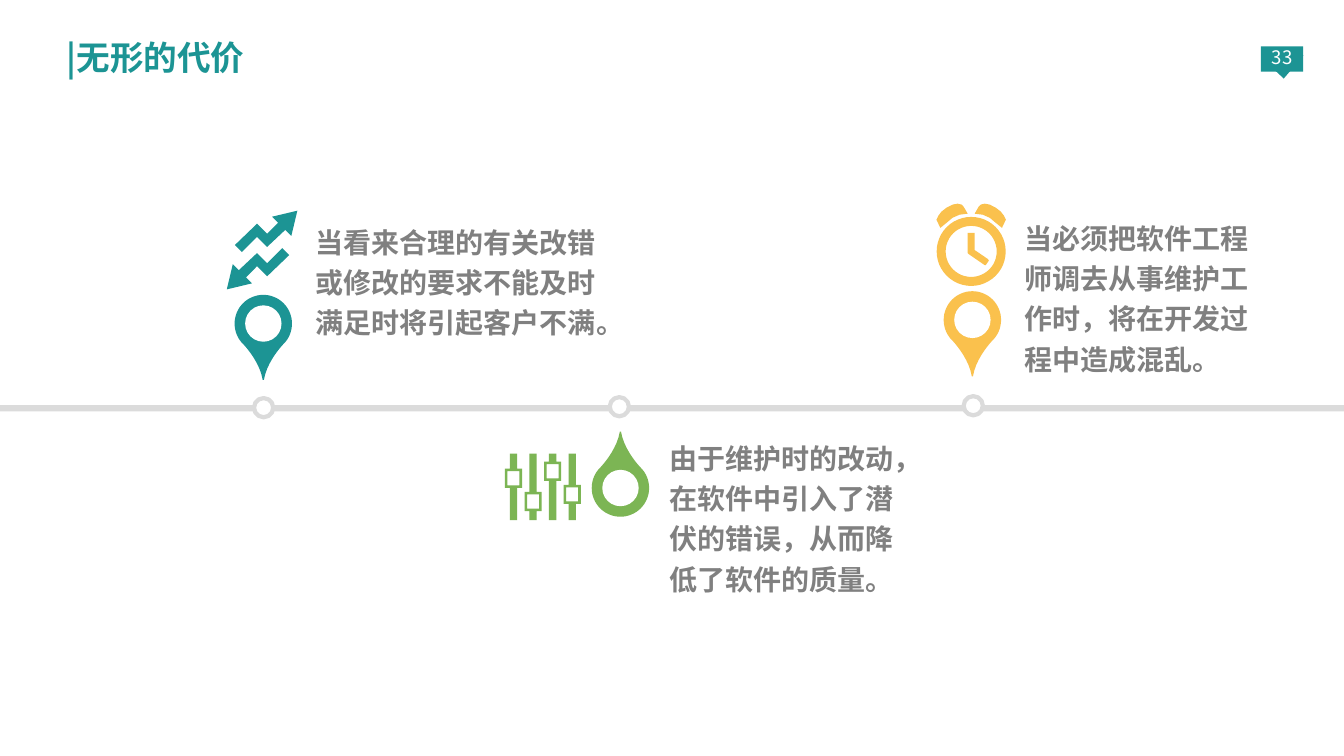
"""Builds a timeline slide on the hidden costs of software maintenance."""
from collections.abc import Callable
from dataclasses import dataclass
from math import cos, pi, sin

from pptx import Presentation
from pptx.dml.color import RGBColor
from pptx.enum.shapes import MSO_SHAPE
from pptx.enum.text import MSO_ANCHOR, MSO_AUTO_SIZE, PP_ALIGN
from pptx.oxml.ns import qn
from pptx.util import Pt

Point = tuple[float, float]
FONT = "Noto Sans CJK SC"
TEAL, GREEN, AMBER = "1C9494", "7CB554", "FAC14D"
WHITE, RAIL, GREY = "FFFFFF", "DBDBDB", "808080"

ARROW = [(7.2, -23.8), (11.5, -19.5), (3.6, -11.6), (-3.6, -18.8), (-19.4, -3.6), (-14.4, 1.4),
         (-3.6, -9.4), (3.6, -2.2), (16.6, -14.4), (20.9, -10.1), (25.2, -28.1)]
BELL = [(-2.5, -26.9), (-5.4, -32), (-6.8, -33.4), (-9.7, -34.1), (-13.3, -33.4), (-17.6, -31.2),
        (-21.2, -28.4), (-23.4, -25.5), (-24.8, -22.6), (-24.1, -21.2), (-22, -16.8),
        (-17.6, -20.4), (-13.3, -24), (-8.3, -26.2)]
HANDS = [(-2.5, -13.2), (2.5, -13.2), (2.5, -1), (12, 5.5), (12.6, 6.6), (10.4, 9.8),
         (9.7, 9.8), (-1.8, 1.9), (-2.5, 1.2)]


@dataclass
class Box:
    left: float
    top: float
    width: float
    height: float

    def lengths(self) -> list[int]:
        return [Pt(value) for value in (self.left, self.top, self.width, self.height)]


@dataclass
class Milestone:
    colour: str
    marker: Point
    pin: Point
    direction: int
    draw_icon: Callable
    icon_at: Point
    text: str
    text_box: Box


def apply(target, formats: dict) -> None:
    for name, value in formats.items():
        setattr(target, name, value)


def colour_of(code: str) -> RGBColor:
    return RGBColor.from_string(code)


def paint(shape, fill: str, line: str | None = None) -> None:
    shape.shadow.inherit = False
    shape.fill.solid()
    shape.fill.fore_color.rgb = colour_of(fill)
    if line:
        shape.line.color.rgb = colour_of(line)
        shape.line.width = Pt(3)
    else:
        shape.line.fill.background()


def add_preset(shapes, kind, box: Box, fill: str, line: str | None = None):
    shape = shapes.add_shape(kind, *box.lengths())
    paint(shape, fill, line)
    return shape


def around(centre: Point, diameter: float) -> Box:
    return Box(centre[0] - diameter / 2, centre[1] - diameter / 2, diameter, diameter)


def add_outline(shapes, contours: list[list[Point]], fill: str, centre: Point = (0, 0),
                flip: Point = (1, 1)) -> None:
    placed = [[(Pt(centre[0] + flip[0] * x), Pt(centre[1] + flip[1] * y)) for x, y in contour]
              for contour in contours]
    builder = shapes.build_freeform(*placed[0][0], scale=1.0)
    builder.add_line_segments(placed[0][1:], close=True)
    for contour in placed[1:]:
        builder.move_to(*contour[0])
        builder.add_line_segments(contour[1:], close=True)
    paint(builder.convert_to_shape(), fill)


def rectangle(left: float, top: float, right: float, bottom: float) -> list[Point]:
    return [(left, top), (right, top), (right, bottom), (left, bottom)]


def curve(start: Point, first: Point, second: Point, end: Point, steps: int = 10) -> list[Point]:
    points = []
    for step in range(1, steps + 1):
        t = step / steps
        weights = ((1 - t) ** 3, 3 * t * (1 - t) ** 2, 3 * t * t * (1 - t), t ** 3)
        points.append(tuple(sum(weight * point[axis] for weight, point
                                in zip(weights, (start, first, second, end))) for axis in (0, 1)))
    return points


def pin_contour() -> list[Point]:
    radius, waist, tip = 20.5, (-14.7, 14.3), (-0.4, 40.3)
    head = [(radius * cos(pi * step / 32), -radius * sin(pi * step / 32)) for step in range(33)]
    side = curve((-radius, 0), (-radius, 5.6), (-18.3, 10.7), waist)
    side += curve(waist, waist, (-2.6, 26.5), tip)
    return head + side + [(-x, y) for x, y in reversed(side)]


def draw_pin(page, item: Milestone) -> None:
    shapes = page.shapes.add_group_shape().shapes
    add_outline(shapes, [pin_contour()], item.colour, item.pin, (1, item.direction))
    add_preset(shapes, MSO_SHAPE.OVAL, around(item.pin, 26), WHITE)


def draw_arrows(shapes, centre: Point, colour: str) -> None:
    for turn in (1, -1):
        add_outline(shapes, [ARROW], colour, centre, (turn, turn))


def draw_sliders(shapes, corner: Point, colour: str) -> None:
    height, width, knob, stem, rim, pitch = 47.5, 12.2, 13.7, 5.2, 1.8, 14
    for index, top in enumerate((10.8, 27.4, 5.8, 22.3)):
        inner, outer = (width - stem) / 2, (width + stem) / 2
        bottom = top + knob
        body = [(inner, 0), (outer, 0), (outer, top), (width, top), (width, bottom),
                (outer, bottom), (outer, height), (inner, height), (inner, bottom),
                (0, bottom), (0, top), (inner, top)]
        hole = rectangle(rim, top + rim, width - rim, bottom - rim)[::-1]
        add_outline(shapes, [body, hole], colour, (corner[0] + index * pitch, corner[1]))


def draw_clock(shapes, centre: Point, colour: str) -> None:
    for side in (1, -1):
        add_outline(shapes, [BELL], colour, centre, (side, 1))
    ring = add_preset(shapes, MSO_SHAPE.DONUT, around(centre, 49.3), colour)
    ring.adjustments[0] = 0.13
    add_outline(shapes, [HANDS], colour, centre)


def write(shape, text: str, size: float, colour: str, bold: bool, frame_format: dict,
          para_format: dict) -> None:
    frame = shape.text_frame
    apply(frame, {"word_wrap": True, "auto_size": MSO_AUTO_SIZE.NONE} | frame_format)
    para = frame.paragraphs[0]
    apply(para, para_format)
    span = para.add_run()
    span.text = text
    apply(span.font, {"name": FONT, "size": Pt(size), "bold": bold})
    span.font.color.rgb = colour_of(colour)
    east_asian = span.font._element.makeelement(qn("a:ea"), {"typeface": FONT})
    span.font._element.find(qn("a:latin")).addnext(east_asian)


def margins(left: float, top: float, right: float, bottom: float) -> dict:
    return {"margin_left": Pt(left), "margin_top": Pt(top),
            "margin_right": Pt(right), "margin_bottom": Pt(bottom)}


def draw_header(page) -> None:
    add_preset(page.shapes, MSO_SHAPE.RECTANGLE, Box(900.7, 33.1, 30.2, 18), TEAL)
    tail = add_preset(page.shapes, MSO_SHAPE.ISOSCELES_TRIANGLE, Box(901.4, 40.3, 30.2, 15.8), TEAL)
    tail.rotation = 176.8
    number = page.shapes.add_textbox(*Box(902.2, 28.8, 27.4, 28.8).lengths())
    write(number, "33", 13.3, WHITE, False,
          margins(0, 0, 0, 5) | {"vertical_anchor": MSO_ANCHOR.MIDDLE},
          {"alignment": PP_ALIGN.CENTER})
    title = page.shapes.title
    apply(title, dict(zip(("left", "top", "width", "height"),
                          Box(47.5, 24.5, 721.4, 38.9).lengths())))
    write(title, "|无形的代价", 24, TEAL, True,
          margins(0, 0, 9.4, 0) | {"vertical_anchor": MSO_ANCHOR.TOP},
          {"alignment": PP_ALIGN.LEFT, "line_spacing": Pt(31), "space_before": Pt(0)})


def draw_milestone(page, item: Milestone) -> None:
    add_preset(page.shapes, MSO_SHAPE.OVAL, around(item.marker, 13.7), WHITE, RAIL)
    draw_pin(page, item)
    item.draw_icon(page.shapes.add_group_shape().shapes, item.icon_at, item.colour)
    note = page.shapes.add_textbox(*item.text_box.lengths())
    write(note, item.text, 20, GREY, True,
          margins(9.4, 5, 9.4, 5) | {"vertical_anchor": MSO_ANCHOR.TOP},
          {"alignment": PP_ALIGN.LEFT, "line_spacing": Pt(28.8)})


MILESTONES = [
    Milestone(TEAL, (188.3, 291.2), (188.1, 231.1), 1, draw_arrows, (187.2, 178.6),
              "当看来合理的有关改错或修改的要求不能及时满足时将引起客户不满。",
              Box(216, 151.2, 219.6, 119.5)),
    Milestone(GREEN, (442.4, 290.5), (443.2, 348.6), -1, draw_sliders, (360.7, 324),
              "由于维护时的改动，在软件中引入了潜伏的错误，从而降低了软件的质量。",
              Box(468.7, 305.3, 189.4, 119.5)),
    Milestone(AMBER, (695.2, 289.8), (694.6, 228.5), 1, draw_clock, (693.7, 179.6),
              "当必须把软件工程师调去从事维护工作时，将在开发过程中造成混乱。",
              Box(722.2, 148.3, 182.9, 119.5)),
]


def main() -> None:
    deck = Presentation()
    apply(deck, {"slide_width": Pt(960), "slide_height": Pt(540)})
    page = deck.slides.add_slide(deck.slide_layouts[5])
    draw_header(page)
    add_preset(page.shapes, MSO_SHAPE.RECTANGLE, Box(0, 289.4, 960, 4.5), RAIL)
    for item in MILESTONES:
        draw_milestone(page, item)
    deck.save("out.pptx")


if __name__ == "__main__":
    main()
